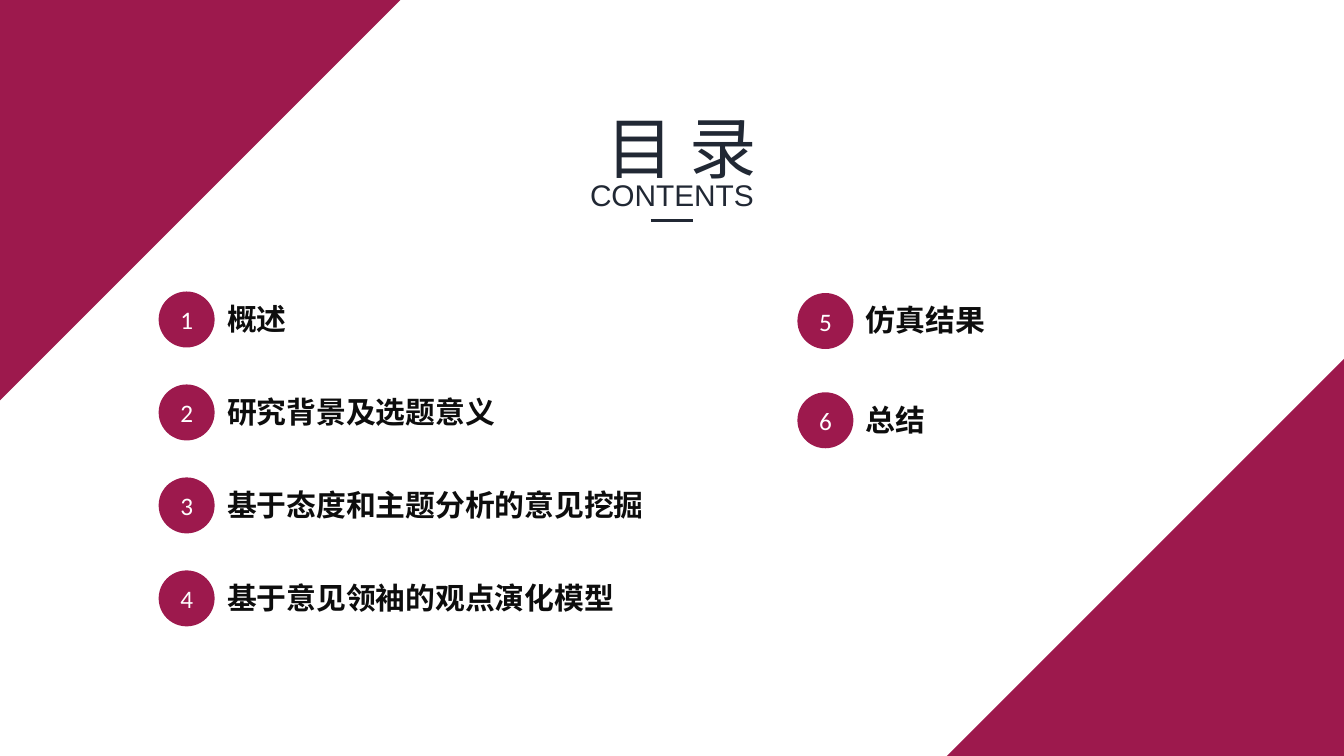
"""Build the contents slide with two columns of numbered topics."""
from lxml import etree
from pptx import Presentation
from pptx import util as u
from pptx.dml.color import RGBColor
from pptx.enum import shapes, text
from pptx.oxml import ns

COLORS = {"crimson": "9D194D", "navy": "212834", "ink": "0D0D0D", "white": "FFFFFF"}
CJK = "Noto Sans CJK SC"
COLUMNS = [
    (85, 156.2, 49.8, ["概述", "研究背景及选题意义", "基于态度和主题分析的意见挖掘", "基于意见领袖的观点演化模型"]),
    (427.2, 157, 53.2, ["仿真结果", "总结"]),
]


def write(frame, content, *, size, font, color, bold=False, align=text.PP_ALIGN.LEFT,
          anchor=text.MSO_ANCHOR.TOP, wrap=True):
    frame.auto_size = text.MSO_AUTO_SIZE.NONE
    frame.word_wrap = wrap
    frame.vertical_anchor = anchor
    paragraph = frame.paragraphs[0]
    paragraph.alignment = align
    run = paragraph.add_run()
    run.text = content
    run.font.size = u.Pt(size)
    run.font.bold = bold
    run.font.color.rgb = RGBColor.from_string(COLORS[color])
    run.font.name = font
    latin = run.font._element.find(ns.qn("a:latin"))
    east_asian = etree.Element(ns.qn("a:ea"), typeface=font)
    latin.addnext(east_asian)


class ContentsSlide:
    def __init__(self, presentation):
        self.slide = presentation.slides.add_slide(presentation.slide_layouts[5])
        self.shapes = self.slide.shapes

    def filled(self, parent, kind, left, top, size, rotation=0):
        shape = parent.add_shape(kind, u.Pt(left), u.Pt(top), u.Pt(size), u.Pt(size))
        shape.rotation = rotation
        shape.shadow.inherit = False
        shape.fill.solid()
        shape.fill.fore_color.rgb = RGBColor.from_string(COLORS["crimson"])
        shape.line.fill.background()
        return shape

    def corner(self, left, top, rotation):
        self.filled(self.shapes, shapes.MSO_SHAPE.RIGHT_TRIANGLE, left, top, 216.7, rotation)

    def title(self, content, left, top, width, height):
        title = self.shapes.title
        title.left, title.top = u.Pt(left), u.Pt(top)
        title.width, title.height = u.Pt(width), u.Pt(height)
        write(title.text_frame, content, size=36, font=CJK, color="navy",
              align=text.PP_ALIGN.CENTER)

    def label(self, parent, content, left, top, width, **style):
        box = parent.add_textbox(u.Pt(left), u.Pt(top), u.Pt(width), u.Pt(26.6))
        write(box.text_frame, content, size=16, **style)

    def rule(self, left, right, top):
        line = self.shapes.add_connector(
            shapes.MSO_CONNECTOR.STRAIGHT, u.Pt(left), u.Pt(top), u.Pt(right), u.Pt(top))
        line.line.color.rgb = RGBColor.from_string(COLORS["navy"])
        line.line.width = u.Pt(1.5)
        etree.SubElement(line._element.spPr, ns.qn("a:effectLst"))

    def topic(self, number, content, left, top):
        group = self.shapes.add_group_shape().shapes
        self.label(group, content, left + 29.6, top + 1.2, 16 * len(content) + 14.4,
                   font=CJK, color="ink", bold=True, wrap=False)
        circle = self.filled(group, shapes.MSO_SHAPE.OVAL, left, top, 30)
        write(circle.text_frame, str(number), size=13.5, font="Calibri", color="white",
              align=text.PP_ALIGN.CENTER, anchor=text.MSO_ANCHOR.MIDDLE)


def main():
    presentation = Presentation()
    presentation.slide_width, presentation.slide_height = u.Pt(720), u.Pt(405)
    contents = ContentsSlide(presentation)
    contents.corner(506.2, 189.4, 270)
    contents.corner(-2.2, 0, 90)
    contents.title("目 录", 293.8, 53.3, 142.6, 51)
    contents.label(contents.shapes, "CONTENTS", 283.7, 91.4, 152.6, font="Arial",
                   color="navy", align=text.PP_ALIGN.CENTER)
    contents.rule(348.5, 371.5, 118)
    number = 1
    for left, top, step, topics in COLUMNS:
        for row, topic in enumerate(topics):
            contents.topic(number, topic, left, top + row * step)
            number += 1
    presentation.save("out.pptx")


if __name__ == "__main__":
    main()
